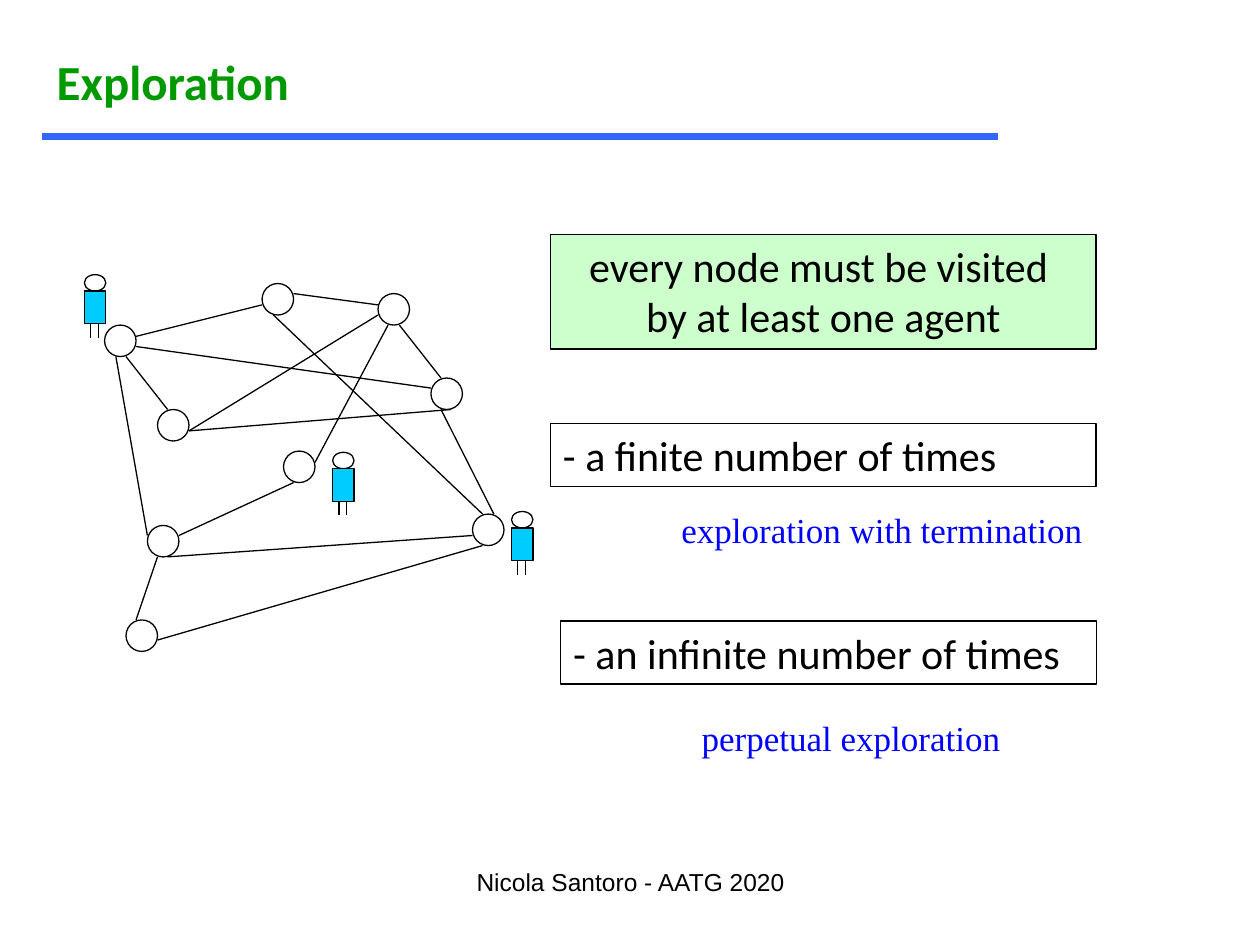
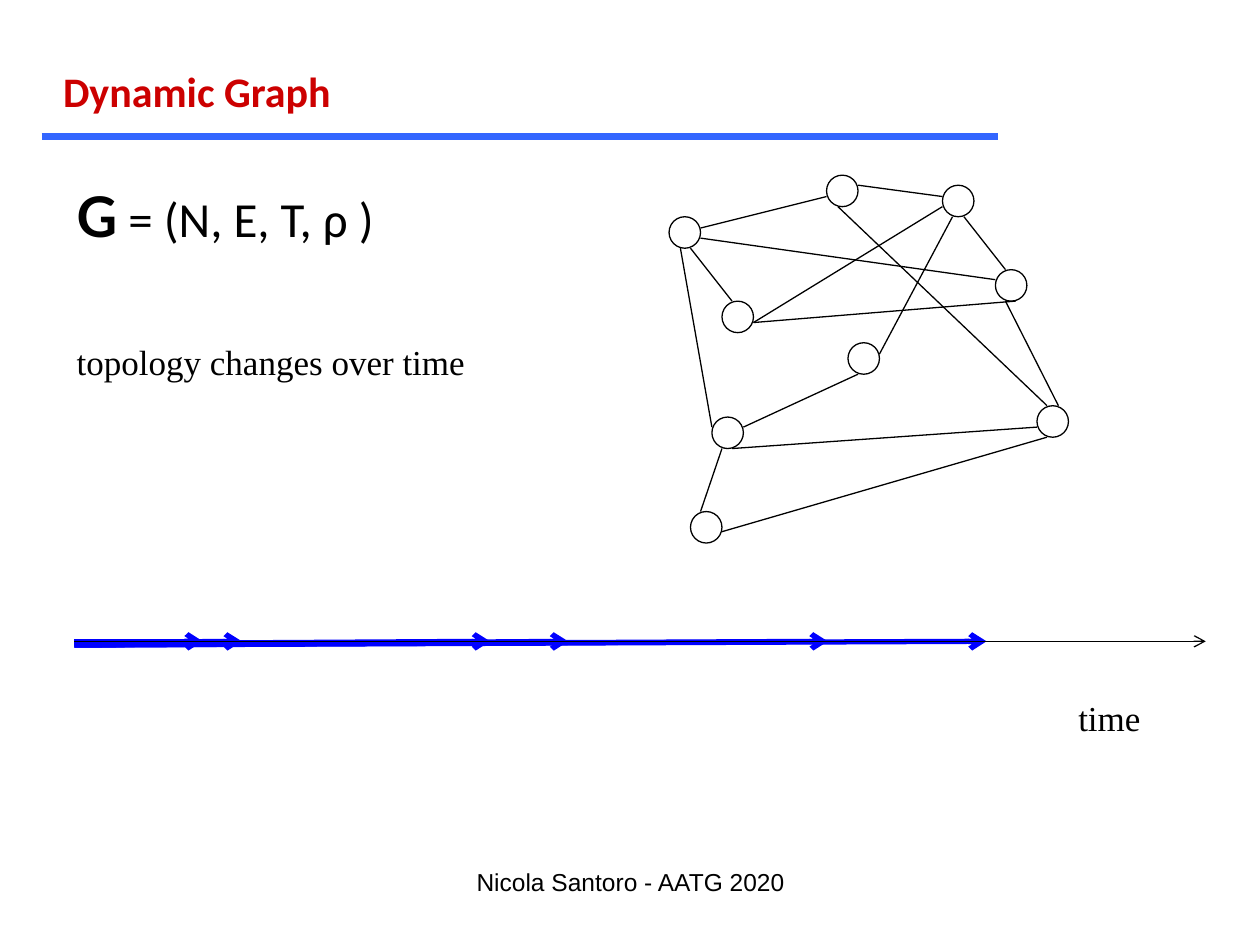
from lxml import etree
from pptx import Presentation
from pptx.dml.color import RGBColor
from pptx.enum.shapes import MSO_CONNECTOR, MSO_SHAPE
from pptx.enum.text import MSO_ANCHOR, MSO_AUTO_SIZE, PP_ALIGN
from pptx.oxml.ns import qn
from pptx.util import Emu, Pt

STRAIGHT = MSO_CONNECTOR.STRAIGHT
OVAL, RECT = MSO_SHAPE.OVAL, MSO_SHAPE.RECTANGLE
TOP, NO_FIT = MSO_ANCHOR.TOP, MSO_AUTO_SIZE.NONE
LEFT, CENTER = PP_ALIGN.LEFT, PP_ALIGN.CENTER

BLACK = RGBColor(0x00, 0x00, 0x00)
BLUE = RGBColor(0x00, 0x00, 0xFF)
RULE_BLUE = RGBColor(0x33, 0x66, 0xFF)
GREEN = RGBColor(0x00, 0x99, 0x00)
RED = RGBColor(0xCC, 0x00, 0x00)
PALE_GREEN = RGBColor(0xCC, 0xFF, 0xCC)
AGENT_CYAN = RGBColor(0x00, 0xCC, 0xFF)

SANS, SERIF = "Calibri", "Times New Roman"
PX = 9144
THIN = 0.75
NODE = 25
TITLE_ONLY = 5

NODES = [(83, 258), (208, 225), (342, 300), (125, 325), (225, 358),
         (300, 233), (117, 417), (375, 408), (100, 492)]
EDGES = [
    (108, 267, 208, 242), (100, 283, 133, 325), (108, 275, 342, 308),
    (317, 258, 350, 300), (217, 250, 383, 408), (142, 425, 233, 383),
    (92, 283, 117, 425), (150, 342, 300, 250), (233, 233, 300, 242),
    (133, 442, 375, 425), (150, 342, 358, 325), (350, 325, 392, 408),
    (308, 258, 250, 367), (125, 442, 108, 492), (125, 508, 383, 433),
]
AGENTS = [(406, 406), (67, 218), (264, 359)]
TIME_START, TIME_Y = 59, 509
EVENTS = [(161, 509), (192, 510), (389, 511), (451, 512), (657, 512), (783, 512)]


def px(*lengths):
    return [Emu(length * PX) for length in lengths]


def write_text(sp, text, font=SANS, size=24, color=BLACK, bold=False,
               align=LEFT, same_line=False):
    tf = sp.text_frame
    p = tf.paragraphs[-1]
    if p.runs and not same_line:
        p = tf.add_paragraph()
    p.alignment = align
    r = p.add_run()
    r.text = text
    r.font.name = font
    r.font.size = Pt(size)
    r.font.bold = bold
    r.font.color.rgb = color


def set_frame(sp, wrap=True):
    tf = sp.text_frame
    tf.word_wrap = wrap
    tf.auto_size = NO_FIT
    tf.vertical_anchor = TOP


def add_label(s, box, text, **fmt):
    sp = s.shapes.add_textbox(*px(*box))
    set_frame(sp)
    write_text(sp, text, **fmt)
    return sp


def add_outlined(shapes, kind, box, fill=None):
    sp = shapes.add_shape(kind, *px(*box))
    sp.shadow.inherit = False
    if fill is None:
        sp.fill.background()
    else:
        sp.fill.solid()
        sp.fill.fore_color.rgb = fill
    sp.line.color.rgb = BLACK
    sp.line.width = Pt(THIN)
    return sp


def add_box(s, box, lines, fill=None, **fmt):
    sp = add_outlined(s.shapes, RECT, box, fill)
    set_frame(sp)
    for line in lines:
        write_text(sp, line, **fmt)


def add_line(shapes, ends, color=BLACK, width=THIN, arrow=False):
    line = shapes.add_connector(STRAIGHT, *px(*ends))
    line.line.color.rgb = color
    line.line.width = Pt(width)
    if arrow:
        etree.SubElement(line.line._get_or_add_ln(), qn("a:tailEnd"), type="arrow")
    etree.SubElement(line._element.spPr, qn("a:effectLst"))


def add_graph(s, dx=0, dy=0):
    for x, y in NODES:
        add_outlined(s.shapes, OVAL, (x + dx, y + dy, NODE, NODE))
    for x1, y1, x2, y2 in EDGES:
        add_line(s.shapes, (x1 + dx, y1 + dy, x2 + dx, y2 + dy))


def add_agent(s, x, y):
    shapes = s.shapes.add_group_shape().shapes
    add_outlined(shapes, OVAL, (x, y, 17, 13))
    add_outlined(shapes, RECT, (x, y + 13, 17, 26), AGENT_CYAN)
    for leg in (x + 5, x + 11):
        add_line(shapes, (leg, y + 39, leg, y + 50))


def add_slide(prs, title, box, size, color):
    s = prs.slides.add_slide(prs.slide_layouts[TITLE_ONLY])
    sp = s.shapes.title
    sp.left, sp.top, sp.width, sp.height = px(*box)
    set_frame(sp, wrap=False)
    write_text(sp, title, size=size, color=color, bold=True)
    add_line(s.shapes, (33, 108, 792, 108), RULE_BLUE, 4)
    add_label(s, (342, 683, 317, 50), "Nicola Santoro - AATG 2020",
              font="Arial", size=14, align=CENTER)
    return s


def add_exploration(prs):
    s = add_slide(prs, "Exploration", (35, 36, 208, 57), 28, GREEN)
    add_box(s, (437, 186, 433, 91),
            ["every node must be visited ", "by at least one agent"],
            PALE_GREEN, align=CENTER)
    add_graph(s)
    for x, y in AGENTS:
        add_agent(s, x, y)
    add_box(s, (437, 336, 433, 50), ["- a finite number of times"])
    add_box(s, (445, 493, 425, 50), ["- an infinite number of times"])
    note = dict(font=SERIF, size=20, color=BLUE)
    add_label(s, (531, 399, 346, 44), "exploration with termination", **note)
    add_label(s, (547, 564, 346, 44), "perpetual exploration", **note)


def add_dynamic_graph(prs):
    s = add_slide(prs, "Dynamic Graph", (40, 47, 236, 50), 24, RED)
    add_graph(s, 448, -86)
    for x, start_y in EVENTS:
        add_line(s.shapes, (TIME_START, start_y, x, TIME_Y), BLUE, 3, arrow=True)
    add_line(s.shapes, (TIME_START, TIME_Y, 957, TIME_Y), arrow=True)
    add_label(s, (51, 265, 354, 44), "topology changes over time", font=SERIF, size=20)
    formula = add_label(s, (51, 139, 856, 64), "G", font="Lato", size=32, bold=True)
    write_text(formula, " = (N, E, T, ρ )", size=28, same_line=True)
    add_label(s, (846, 548, 94, 44), "time", font=SERIF, size=20)


def main():
    prs = Presentation()
    prs.slide_width, prs.slide_height = px(1000, 750)
    add_exploration(prs)
    add_dynamic_graph(prs)
    prs.save("out.pptx")


if __name__ == "__main__":
    main()
